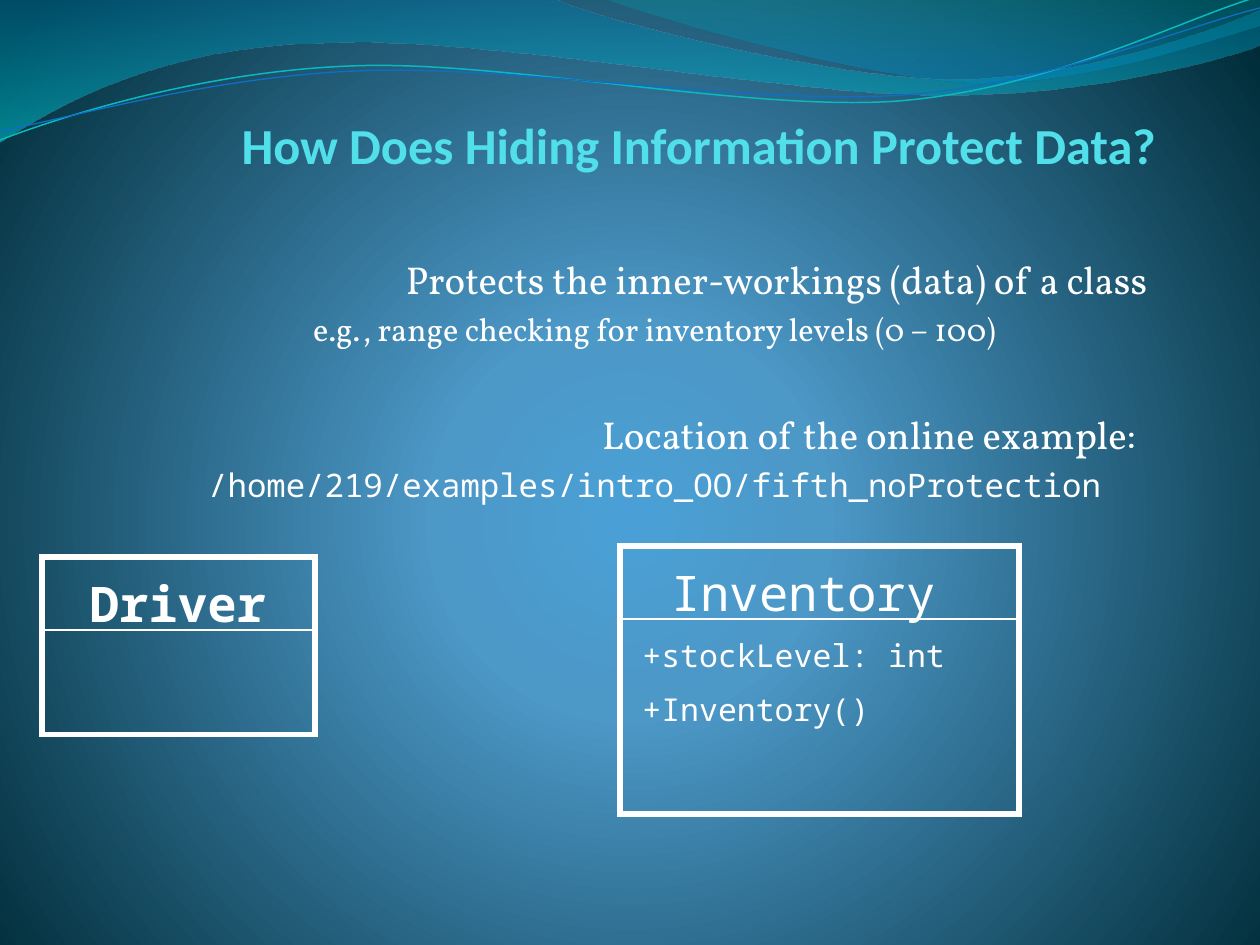
from lxml.etree import SubElement
from pptx import Presentation
from pptx.dml.color import RGBColor
from pptx.enum.shapes import MSO_CONNECTOR, MSO_SHAPE
from pptx.enum.text import MSO_ANCHOR, PP_ALIGN
from pptx.oxml.ns import qn
from pptx.util import Pt

SCALE = 914400 / 126

WHITE = RGBColor(0xFF, 0xFF, 0xFF)
AQUA = RGBColor(0x51, 0xE0, 0xEA)
TEAL = RGBColor(0x0A, 0xB8, 0xBF)
BLUE = RGBColor(0x0F, 0x6F, 0xC6)
SKY = RGBColor(0x4A, 0xA0, 0xD6)
STEEL = RGBColor(0x4C, 0x98, 0xC7)
NIGHT = RGBColor(0x00, 0x2C, 0x38)
OCEAN = RGBColor(0x00, 0x74, 0xA1)
CYAN = RGBColor(0x00, 0xC6, 0xCF)
SEA = RGBColor(0x00, 0xA1, 0xA9)
AZURE = RGBColor(0x00, 0x8B, 0xBF)

MONO = "Noto Sans Mono"
SERIF = "Vollkorn"

# Each step is a line (x, y) or a cubic curve (x1, y1, x2, y2, x, y).
BANDS = [
    ([(0, -1), (554, -1), (600, 21, 837, 79, 955, 79),
      (1075, 79, 1207, 33, 1260, 11), (1261, 45),
      (1239, 55, 1096, 96, 940, 95), (784, 95, 481, 35, 324, 43),
      (163, 45, 58, 105, -1, 142)],
     [(0, OCEAN, 45), (100, CYAN, 55)]),
    ([(604, -1), (641, 14, 859, 78, 969, 82),
      (1079, 87, 1211, 40, 1260, 26), (1260, 0)],
     [(0, SEA, 30), (80, AZURE, 45)]),
]
WAVES = [
    ([(0, 140), (60, 117, 199, 72, 349, 66), (498, 59, 747, 112, 898, 101),
      (1050, 89, 1182, 19, 1257, -3)], TEAL, 0.85),
    ([(0, 131), (59, 121, 207, 77, 357, 71), (508, 64, 752, 106, 903, 95),
      (1053, 84, 1186, 26, 1260, 8)], BLUE, 0.75),
]


def px(*vals):
    return [round(v * SCALE) for v in vals]


def set_stops(owner, stops, circle=False):
    """Give the gradient of a shape or slide its stops (percent, colour, opacity)."""
    grad = owner.element.xpath(".//a:gradFill")[0]
    for child in list(grad):
        grad.remove(child)
    items = SubElement(grad, qn("a:gsLst"))
    for pos, color, alpha in stops:
        stop = SubElement(items, qn("a:gs"), pos=str(pos * 1000))
        tone = SubElement(stop, qn("a:srgbClr"), val=str(color))
        if alpha < 100:
            SubElement(tone, qn("a:alpha"), val=str(alpha * 1000))
    if circle:
        way = SubElement(grad, qn("a:path"), path="circle")
        SubElement(way, qn("a:fillToRect"), l="10000", t="110000", r="10000", b="100000")
    else:
        SubElement(grad, qn("a:lin"), ang="5400000", scaled="0")


def set_line(shape, color, width):
    shape.line.color.rgb = color
    shape.line.width = Pt(width)


def add_path(slide, steps, closed):
    """Add a freeform, joining the three points of each curve into one cubic."""
    first, *rest = steps
    points = [px(*step[i:i + 2]) for step in rest for i in range(0, len(step), 2)]
    pen = slide.shapes.build_freeform(*px(*first))
    pen.add_line_segments(points, close=closed)
    shape = pen.convert_to_shape()
    shape.shadow.inherit = False
    legs = iter(shape.element.xpath(".//a:lnTo"))
    for step in rest:
        leg = next(legs)
        if len(step) == 6:
            leg.tag = qn("a:cubicBezTo")
            for _ in range(2):
                extra = next(legs)
                leg.append(extra[0])
                extra.getparent().remove(extra)
    return shape


def add_band(slide, steps, stops):
    shape = add_path(slide, steps, True)
    shape.line.fill.background()
    shape.fill.gradient()
    set_stops(shape, stops)


def add_wave(slide, steps, color, width):
    shape = add_path(slide, steps, False)
    shape.fill.background()
    set_line(shape, color, width)


def add_run(para, text, color=WHITE, **form):
    run = para.add_run()
    run.text = text
    for key, val in form.items():
        setattr(run.font, key, val)
    run.font.color.rgb = color


def add_text(slide, box, paras, anchor=MSO_ANCHOR.TOP):
    """Add a text box of (paragraph format, margins, runs) entries."""
    frame = slide.shapes.add_textbox(*px(*box)).text_frame
    frame.word_wrap = True
    frame.vertical_anchor = anchor
    for i, (form, sides, runs) in enumerate(paras):
        para = frame.add_paragraph() if i else frame.paragraphs[0]
        for key, val in form.items():
            setattr(para, key, val)
        for key, val in sides.items():
            para._p.get_or_add_pPr().set(key, str(px(val)[0]))
        for text, font in runs:
            add_run(para, text, **font)


def add_class(slide, box, rule, label, name, bold):
    """Add a class box with its name above a dividing rule."""
    font = {"name": MONO, "size": Pt(28), "bold": bold}
    add_text(slide, label, [({"alignment": PP_ALIGN.CENTER}, {}, [(name, font)])])
    rect = slide.shapes.add_shape(MSO_SHAPE.RECTANGLE, *px(*box))
    rect.shadow.inherit = False
    rect.fill.background()
    set_line(rect, WHITE, 3)
    SubElement(rect.element.xpath(".//a:ln")[0], qn("a:miter"), lim="800000")
    left, _, width, _ = box
    line = slide.shapes.add_connector(
        MSO_CONNECTOR.STRAIGHT, *px(left, rule, left + width, rule))
    set_line(line, WHITE, 1)
    SubElement(line.element.spPr, qn("a:effectLst"))


def main():
    deck = Presentation()
    deck.slide_width, deck.slide_height = px(1260, 945)
    slide = deck.slides.add_slide(deck.slide_layouts[6])
    slide.background.fill.gradient()
    set_stops(slide, [(0, SKY, 100), (25, STEEL, 100), (100, NIGHT, 100)], circle=True)
    for band in BANDS:
        add_band(slide, *band)
    for wave in WAVES:
        add_wave(slide, *wave)

    right = {"alignment": PP_ALIGN.RIGHT}
    mid = {"alignment": PP_ALIGN.CENTER, "space_before": Pt(4)}
    edge = {"marR": 8}
    inner = {"marL": 63, "marR": 8}
    title = {"name": "Calibri", "size": Pt(28.8), "bold": True, "color": AQUA}
    lead = {"name": SERIF, "size": Pt(22.2)}
    note = {"name": SERIF, "size": Pt(18.5)}
    code = {"name": MONO, "size": Pt(18.5)}
    gap = {"name": "Times New Roman", "size": Pt(25.9)}
    part = {"name": MONO, "size": Pt(18)}

    add_text(slide, (87, 104, 1082, 77),
             [(right, {}, [("How Does Hiding Information Protect Data?", title)])],
             MSO_ANCHOR.BOTTOM)
    add_text(slide, (86, 249, 1082, 242), [
        (right, edge, [("Protects the inner-workings (data) of a class", lead)]),
        (mid, inner, [("e.g., range checking for inventory levels (0 – 100)", note)]),
        ({**right, "space_before": Pt(32)}, edge,
         [("Location of the online example:", lead), (" ", gap)]),
        (mid, inner, [("/home/219/examples/intro_OO/fifth_noProtection", code)]),
    ])
    add_class(slide, (42, 557, 273, 178), 630, (73, 567, 210, 55), "Driver", True)
    add_class(slide, (620, 546, 399, 268), 619, (651, 556, 305, 55), "Inventory", False)
    add_text(slide, (630, 630, 382, 136), [
        ({}, {}, [("+stockLevel: int", part)]),
        ({"space_before": Pt(9)}, {}, [("+Inventory()", part)]),
    ])
    deck.save("out.pptx")


if __name__ == "__main__":
    main()
